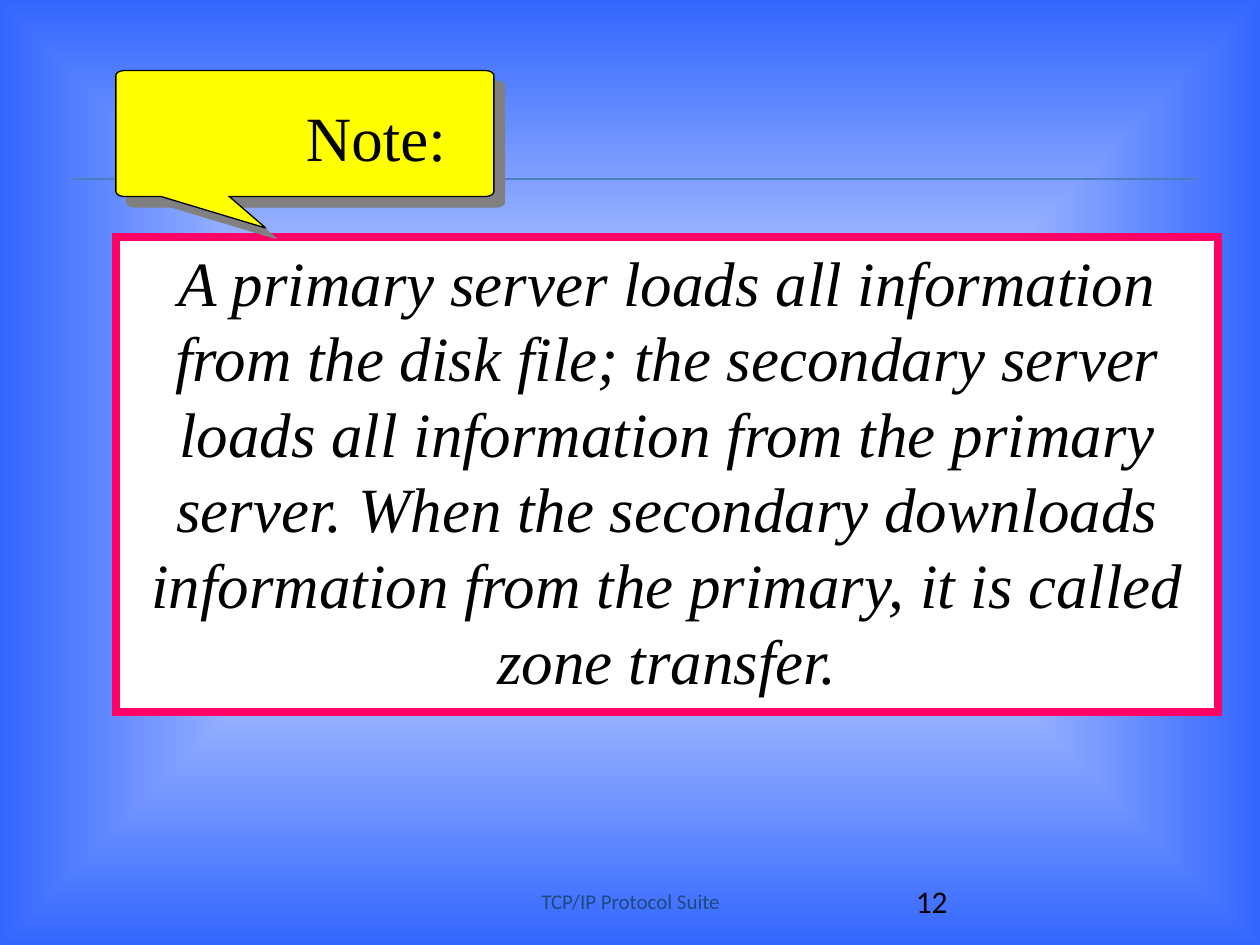
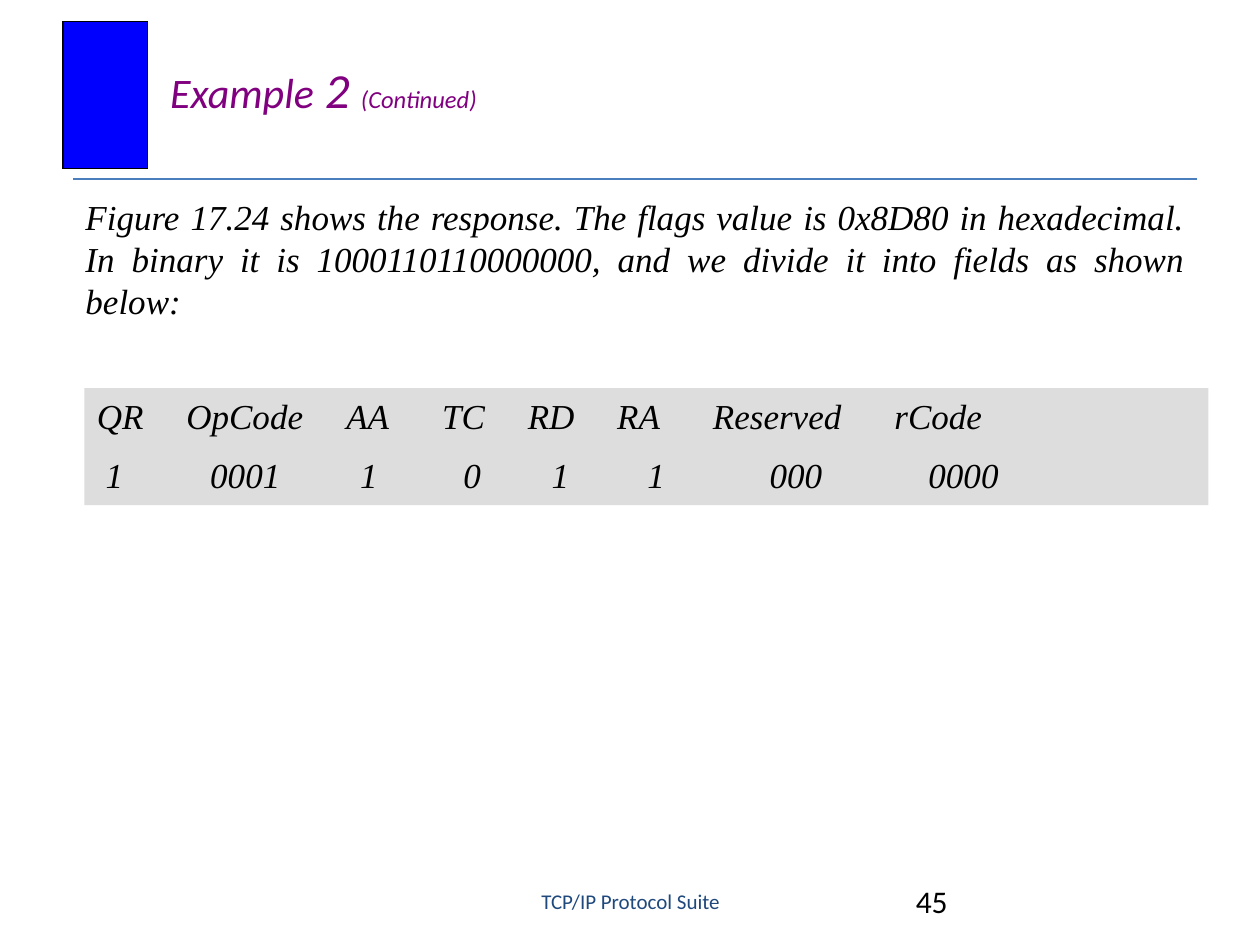
from math import cos, pi, sin

from lxml.etree import SubElement
from pptx import Presentation
from pptx.dml.color import RGBColor
from pptx.enum.shapes import MSO_CONNECTOR, MSO_SHAPE
from pptx.enum.text import MSO_ANCHOR, PP_ALIGN
from pptx.oxml import parse_xml
from pptx.oxml.ns import nsdecls, qn
from pptx.util import Inches, Pt

COLORS = {
    "black": "000000",
    "white": "FFFFFF",
    "background": "3366FF",
    "rule": "4B7EBC",
    "footer": "1F497D",
    "frame": "FF0066",
    "callout": "FFFF00",
    "title": "800080",
    "block": "0000FF",
    "band": "DDDDDD",
}
COLORS = {name: RGBColor.from_string(value) for name, value in COLORS.items()}
SERIF, SANS = "Times New Roman", "Calibri"


def format_paragraph(para, size, font=SERIF, color="black", italic=False,
                     align=PP_ALIGN.LEFT):
    """Set font and alignment; serif text gets a line pitch of 1.2 times its size."""
    para.alignment = align
    if font == SERIF:
        para.line_spacing = Pt(size * 1.2)
    para.font.name = font
    para.font.size = Pt(size)
    para.font.italic = italic
    para.font.color.rgb = COLORS[color]


def paint(shape, fill, line=None, width=0.75):
    """Set a solid fill and a line with sharp corners, or no line."""
    shape.shadow.inherit = False
    shape.fill.solid()
    shape.fill.fore_color.rgb = COLORS[fill]
    if line:
        shape.line.color.rgb = COLORS[line]
        shape.line.width = Pt(width)
        SubElement(shape._element.spPr.find(qn("a:ln")), qn("a:miter"), lim="800000")
    else:
        shape.line.fill.background()


deck = Presentation()
deck.slide_width, deck.slide_height = Inches(10), Inches(7.5)
note_page = deck.slides.add_slide(deck.slide_layouts[6])
example_page = deck.slides.add_slide(deck.slide_layouts[5])

# Rule, footer and page number on both slides
for page, number in ((note_page, "12"), (example_page, "45")):
    rule = page.shapes.add_connector(
        MSO_CONNECTOR.STRAIGHT, Inches(0.58), Inches(1.42), Inches(9.5), Inches(1.42))
    rule.line.color.rgb = COLORS["rule"]
    rule.line.width = Pt(0.75)
    SubElement(rule._element.spPr, qn("a:effectLst"))

    footer = page.shapes.add_textbox(Inches(3.42), Inches(6.95), Inches(3.17), Inches(0.4))
    footer.text_frame.word_wrap = True
    footer.text_frame.vertical_anchor = MSO_ANCHOR.MIDDLE
    footer.text_frame.text = "TCP/IP Protocol Suite"
    format_paragraph(footer.text_frame.paragraphs[0], 12, SANS, "footer",
                     align=PP_ALIGN.CENTER)

    page_number = page.shapes.add_textbox(Inches(7.17), Inches(6.95), Inches(2.33), Inches(0.4))
    page_number.text_frame.word_wrap = True
    page_number.text_frame.text = number
    format_paragraph(page_number.text_frame.paragraphs[0], 18, SANS)

# Slide 1: gradient from a white centre to blue edges
background = note_page.background.fill
background.gradient()
for stop, color in zip(background.gradient_stops, ("white", "background")):
    stop.color.rgb = COLORS[color]
gradient = note_page._element.find(".//" + qn("a:gradFill"))
stops = gradient.find(qn("a:gsLst"))
for stop, position in zip(stops, ("0", "100000")):
    stop.set("pos", position)
for child in list(gradient):
    if child is not stops:
        gradient.remove(child)
gradient.append(parse_xml(
    f'<a:path {nsdecls("a")} path="shape">'
    '<a:fillToRect l="50000" t="50000" r="50000" b="50000"/></a:path>'))

note = note_page.shapes.add_shape(
    MSO_SHAPE.RECTANGLE, Inches(0.92), Inches(1.88), Inches(8.75), Inches(3.77))
paint(note, "white", "frame", 4.5)
note.text_frame.word_wrap = True
note.text_frame.vertical_anchor = MSO_ANCHOR.TOP
note.text_frame.text = (
    "A primary server loads all information from the disk file; the secondary server "
    "loads all information from the primary server. When the secondary downloads "
    "information from the primary, it is called zone transfer.")
format_paragraph(note.text_frame.paragraphs[0], 36, italic=True, align=PP_ALIGN.CENTER)

# Rounded callout: four elliptical corners, with the tail on the bottom edge
left, top, right, bottom = 0.92, 0.56, 3.92, 1.56
radius_x, radius_y = 0.07, 0.04
corners = ((right - radius_x, top + radius_y, -90), (right - radius_x, bottom - radius_y, 0),
           (left + radius_x, bottom - radius_y, 90), (left + radius_x, top + radius_y, 180))
outline = []
for center_x, center_y, start in corners:
    if start == 90:
        outline += [(1.82, bottom), (2.11, 1.81), (1.28, bottom)]
    for step in range(7):
        angle = (start + 15 * step) * pi / 180
        outline.append((center_x + radius_x * cos(angle), center_y + radius_y * sin(angle)))
outline = [(Inches(x), Inches(y)) for x, y in outline]
builder = note_page.shapes.build_freeform(*outline[0])
builder.add_line_segments(outline[1:], close=True)
callout = builder.convert_to_shape()
paint(callout, "callout", "black")
shadow = SubElement(callout._element.spPr.find(qn("a:effectLst")), qn("a:outerShdw"),
                    dist=str(Pt(8.5)), dir="2700000", algn="ctr", rotWithShape="0")
SubElement(shadow, qn("a:srgbClr"), val="808080")

label = note_page.shapes.add_textbox(Inches(2.33), Inches(0.73), Inches(1.31), Inches(0.7))
label.text_frame.word_wrap = False
label.text_frame.text = "Note:"
format_paragraph(label.text_frame.paragraphs[0], 36)

# Slide 2: title with three text sizes
title = example_page.shapes.title
title.left, title.top = Inches(1.25), Inches(0.42)
title.width, title.height = Inches(5.17), Inches(0.57)
title.text_frame.vertical_anchor = MSO_ANCHOR.TOP
title_para = title.text_frame.paragraphs[0]
format_paragraph(title_para, 24, SANS, "title", italic=True)
for text, size in (("Example", 24), (" 2 ", 28), ("(Continued)", 14)):
    span = title_para.add_run()
    span.text = text
    span.font.size = Pt(size)

block = example_page.shapes.add_shape(
    MSO_SHAPE.RECTANGLE, Inches(0.5), Inches(0.17), Inches(0.67), Inches(1.17))
paint(block, "block", "black")

# Flag names and their values, each row with its own tab stops
flag_rows = (
    ("QR\tOpCode\tAA\tTC\tRD\tRA\tReserved\trCode",
     (0.71, 1.98, 2.74, 3.42, 4.13, 4.89, 6.33)),
    ("\t1\t0001\t1\t0\t1\t1\t000\t0000",
     (0.07, 0.9, 2.09, 2.91, 3.61, 4.37, 5.34, 6.6)),
)
band = example_page.shapes.add_shape(
    MSO_SHAPE.RECTANGLE, Inches(0.67), Inches(3.08), Inches(8.92), Inches(0.93))
paint(band, "band")
band.text_frame.word_wrap = True
band.text_frame.vertical_anchor = MSO_ANCHOR.TOP
band.text_frame.text = "\n".join(text for text, _ in flag_rows)
for para, (_, positions) in zip(band.text_frame.paragraphs, flag_rows):
    tabs = SubElement(para._p.get_or_add_pPr(), qn("a:tabLst"))
    for position in positions:
        SubElement(tabs, qn("a:tab"), pos=str(Inches(position)), algn="l")
    format_paragraph(para, 20, italic=True)
band.text_frame.paragraphs[1].space_before = Pt(10)

intro = example_page.shapes.add_textbox(Inches(0.58), Inches(1.5), Inches(8.92), Inches(1.1))
intro.text_frame.word_wrap = True
intro.text_frame.text = (
    "Figure 17.24 shows the response. The flags value is 0x8D80 in hexadecimal. In binary "
    "it is 1000110110000000, and we divide it into fields as shown below:")
format_paragraph(intro.text_frame.paragraphs[0], 20, italic=True, align=PP_ALIGN.JUSTIFY)

deck.save("out.pptx")
